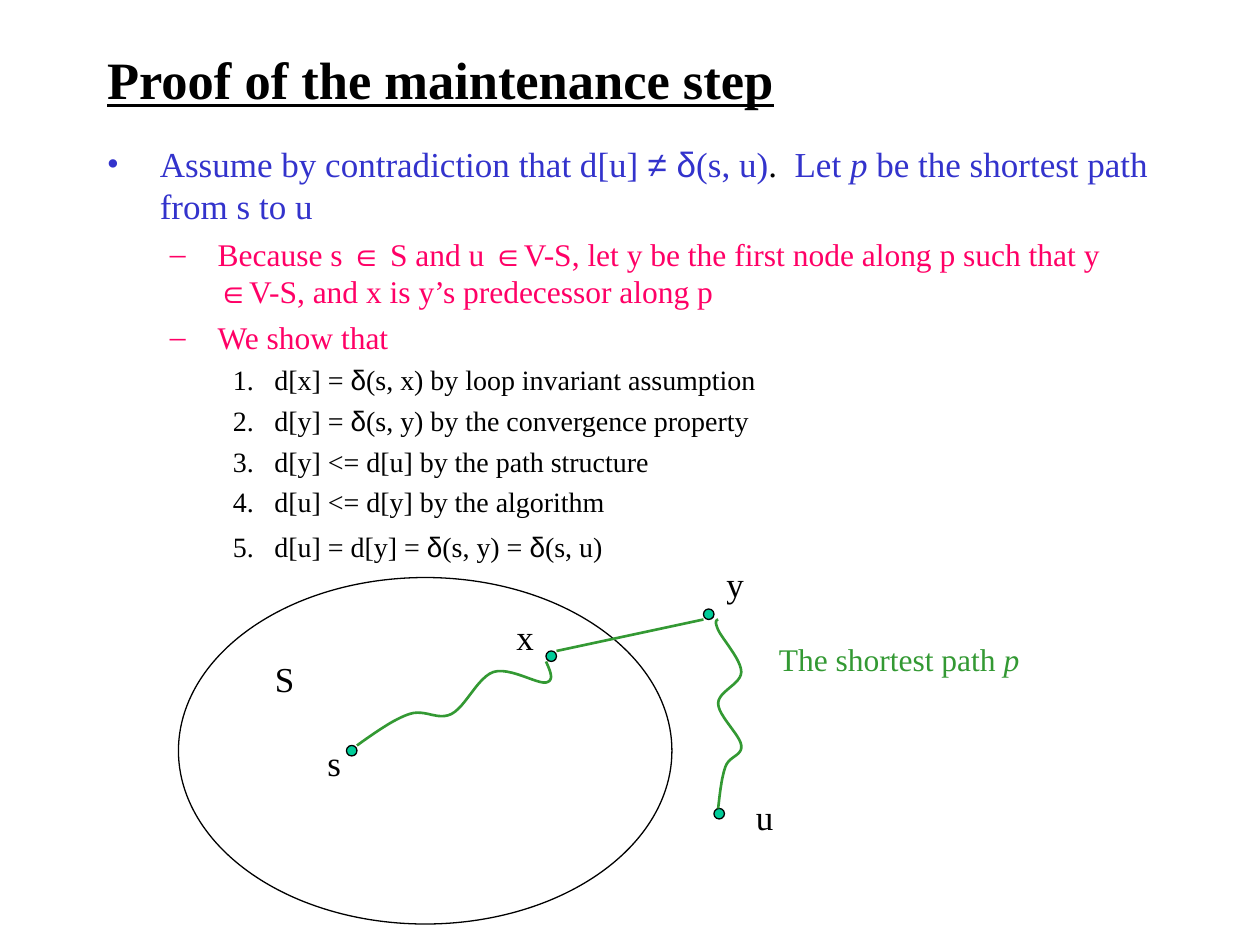
from lxml.etree import SubElement
from pptx import Presentation
from pptx.dml.color import RGBColor
from pptx.enum.shapes import MSO_CONNECTOR as Connector, MSO_SHAPE as Shape
from pptx.enum.text import MSO_ANCHOR as Anchor, MSO_AUTO_SIZE as AutoSize, PP_ALIGN as Align
from pptx.oxml.ns import qn
from pptx.util import Inches, Pt

BLACK = RGBColor(0x00, 0x00, 0x00)
BLUE = RGBColor(0x33, 0x33, 0xCC)
PINK = RGBColor(0xFF, 0x00, 0x66)
GREEN = RGBColor(0x33, 0x99, 0x33)
TEAL = RGBColor(0x00, 0xCC, 0x99)
SERIF, SANS = "Times New Roman", "Arial"
SYMBOLS = "≠δ∈"
CELL = Inches(1) / 12  # the slide is a grid of 120 columns by 90 rows
STEPS = 12  # segments drawn for each piece of a curve

# Per level: size, colour, space before, left margin, hanging indent, bullet
LEVELS = [
    (20, BLUE, 5, 0.42, 0.42, "•"),
    (18, PINK, 4.5, 0.88, 0.38, "–"),
    (16, BLACK, 4, 1.33, 0.33, None),
]
OUTLINE = [
    (0, ["Assume by contradiction that d[u] ", "≠ δ", "(s, u)", (".", {"color": BLACK}),
         "  Let ", ("p", {"italic": True}), " be the shortest path from s to u"]),
    (1, ["Because s ", "∈", " S and u ", "∈",
         "V-S, let y be the first node along p such that y ", "∈",
         "V-S, and x is y’s predecessor along p"]),
    (1, ["We show that"]),
    (2, ["d[x] = ", "δ", "(s, x) by loop invariant assumption"]),
    (2, ["d[y] = ", "δ", "(s, y) by the convergence property"]),
    (2, ["d[y] <= d[u] by the path structure"]),
    (2, ["d[u] <= d[y] by the algorithm"]),
    (2, ["d[u] = d[y] = ", "δ", "(s, y) = ", "δ", "(s, u)"]),
]


def cells(*counts):
    return [round(count * CELL) for count in counts]


def write(para, text, size=20, color=BLACK, bold=False, italic=False, underline=False):
    span = para.add_run()
    span.text = text
    font = span.font
    font.name = SANS if any(symbol in text for symbol in SYMBOLS) else SERIF
    font.size, font.color.rgb = Pt(size), color
    font.bold, font.italic, font.underline = bold, italic, underline


def style(shape, color, width, fill=None):
    shape.shadow.inherit = False
    shape.line.color.rgb, shape.line.width = color, Pt(width)
    if fill is None:
        shape.fill.background()
    else:
        shape.fill.solid()
        shape.fill.fore_color.rgb = fill


def add_title(page, box):
    title = page.shapes.title
    title.left, title.top, title.width, title.height = cells(*box)
    frame = title.text_frame
    frame.auto_size, frame.vertical_anchor = AutoSize.NONE, Anchor.MIDDLE
    para = frame.paragraphs[0]
    para.alignment = Align.LEFT
    write(para, "Proof of the maintenance step", size=30, bold=True, underline=True)


def set_bullet(para, margin, hang, color, mark):
    props = para._p.get_or_add_pPr()
    props.set("marL", str(Inches(margin)))
    props.set("indent", str(-Inches(hang)))
    SubElement(SubElement(props, qn("a:buClr")), qn("a:srgbClr")).set("val", str(color))
    SubElement(props, qn("a:buFont")).set("typeface", SERIF)
    if mark:
        SubElement(props, qn("a:buChar")).set("char", mark)
    else:
        SubElement(props, qn("a:buAutoNum")).set("type", "arabicPeriod")


def add_outline(page, box):
    frame = page.shapes.add_textbox(*cells(*box)).text_frame
    frame.word_wrap = True
    for index, (level, pieces) in enumerate(OUTLINE):
        size, color, before, margin, hang, mark = LEVELS[level]
        para = frame.add_paragraph() if index else frame.paragraphs[0]
        para.level = level
        # The conclusion stands a little apart from the steps
        para.space_before = Pt(6.5 if index == len(OUTLINE) - 1 else before)
        set_bullet(para, margin, hang, color, mark)
        for piece in pieces:
            text, changes = (piece, {}) if isinstance(piece, str) else piece
            write(para, text, **{"size": size, "color": color, **changes})


def smooth_points(knots):
    """Points of a spline through the knots, as cubic Bezier pieces."""
    last = len(knots) - 1

    def control(index, sign):
        before, here, after = knots[index - 1:index + 2]
        return [h + sign * (a - b) / 6 for b, h, a in zip(before, here, after)]

    def middle(first, second):
        return [(a + b) / 2 for a, b in zip(first, second)]

    points = [knots[0]]
    for index in range(last):
        start, end = knots[index], knots[index + 1]
        leave = control(index, 1) if index > 0 else None
        arrive = control(index + 1, -1) if index + 1 < last else middle(leave, end)
        leave = leave or middle(start, arrive)
        for step in range(1, STEPS + 1):
            t = step / STEPS
            weights = ((1 - t) ** 3, 3 * t * (1 - t) ** 2, 3 * t * t * (1 - t), t ** 3)
            corners = (start, leave, arrive, end)
            points.append([sum(w * c[axis] for w, c in zip(weights, corners))
                           for axis in (0, 1)])
    return points


def add_curve(page, knots):
    points = [cells(*point) for point in smooth_points(knots)]
    builder = page.shapes.build_freeform(*points[0], scale=1.0)
    builder.add_line_segments(points[1:], close=False)
    style(builder.convert_to_shape(), GREEN, 1.5)


def add_edge(page, start, end):
    edge = page.shapes.add_connector(Connector.STRAIGHT, *cells(*start, *end))
    edge.line.color.rgb, edge.line.width = GREEN, Pt(1.5)
    SubElement(edge._element.spPr, qn("a:effectLst"))


def add_oval(page, box, fill=None):
    style(page.shapes.add_shape(Shape.OVAL, *cells(*box)), BLACK, 0.75, fill)


def add_label(page, box, *pieces, **form):
    frame = page.shapes.add_textbox(*cells(*box)).text_frame
    frame.word_wrap, frame.auto_size = False, AutoSize.SHAPE_TO_FIT_TEXT
    for text, changes in pieces:
        write(frame.paragraphs[0], text, **form, **changes)


def add_diagram(page, left, top):
    def at(x, y, *size):
        return (left + x, top + y, *size)

    # Set S and the four nodes
    add_oval(page, at(0, 0, 47, 33))
    for x, y in [(16, 16), (51, 22), (50, 3), (35, 7)]:
        add_oval(page, at(x, y, 1, 1), TEAL)

    # Path from s to x, x to y, y to u
    add_curve(page, [at(17, 16), at(22, 13), at(26, 13), at(30, 9), at(35, 10), at(35, 8)])
    add_edge(page, at(36, 7), at(50, 4))
    add_curve(page, [at(51.4, 4), at(51.4, 5), at(53.6, 9), at(51.4, 12),
                     at(53.6, 16), at(52.1, 18), at(51.4, 22)])

    # Names
    for name, x, y in [("s", 13, 15), ("x", 31, 3), ("u", 53.8, 20.2),
                       ("S", 8, 7), ("y", 51, -2)]:
        add_label(page, at(x, y, 4, 5.2), (name, {}))
    add_label(page, at(56, 5.4, 25.3, 4.8), ("The shortest path ", {}),
              ("p", {"italic": True}), size=18, color=GREEN)


def main():
    deck = Presentation()
    deck.slide_width, deck.slide_height = Inches(10), Inches(7.5)
    page = deck.slides.add_slide(deck.slide_layouts[5])
    add_title(page, (9, 4, 81, 7))
    add_outline(page, (9, 13, 102, 67))
    add_diagram(page, 17, 55)
    deck.save("out.pptx")


if __name__ == "__main__":
    main()
